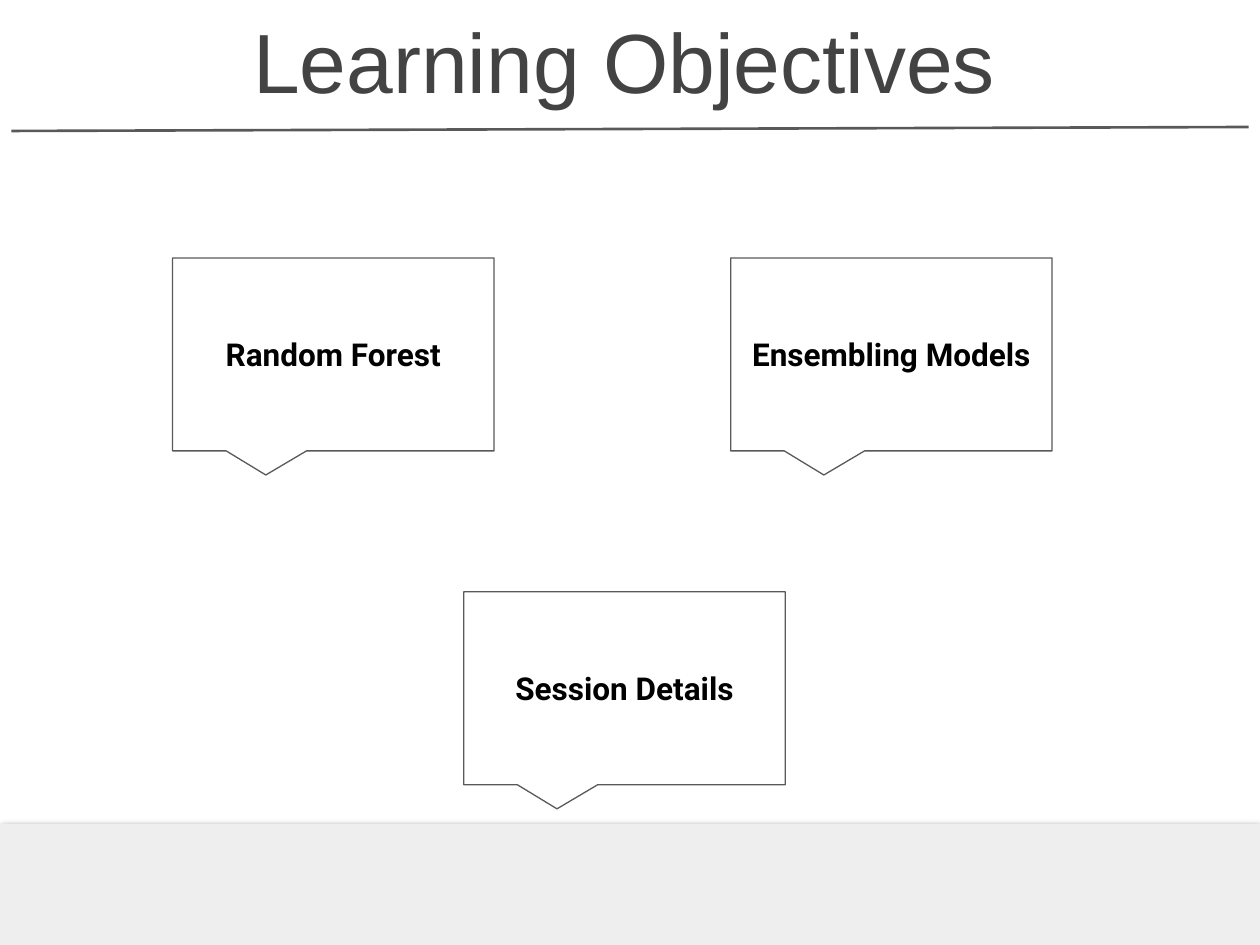
from lxml.etree import SubElement
from pptx import Presentation
from pptx.dml.color import RGBColor
from pptx.enum.shapes import MSO_CONNECTOR as Connector, MSO_SHAPE as Shape
from pptx.enum.text import MSO_ANCHOR as Anchor, PP_ALIGN as Align
from pptx.oxml.ns import qn
from pptx.util import Cm, Pt

COLORS = {"line": "595959", "title": "434343", "text": "000000",
          "band": "EEEEEE", "shadow": "000000"}
CALLOUT_SIZE = (6.48, 3.89)
CALLOUTS = [("Random Forest", 3.48, 5.2),
            ("Ensembling Models", 14.73, 5.2),
            ("Session Details", 9.35, 11.93)]


def color(name):
    """Return the named colour."""
    return RGBColor.from_string(COLORS[name])


def write_text(shape, text, font_name, size, color_name, bold, anchor):
    """Put one centred paragraph into the shape."""
    frame = shape.text_frame
    frame.word_wrap = True
    frame.vertical_anchor = anchor
    frame.margin_left = frame.margin_right = Cm(0.25)
    frame.margin_top = frame.margin_bottom = Cm(0.25)
    paragraph = frame.paragraphs[0]
    paragraph.text = text
    paragraph.alignment = Align.CENTER
    font = paragraph.font
    font.name, font.size, font.bold = font_name, Pt(size), bold
    font.color.rgb = color(color_name)


def add_header(slide, left, top, width, height):
    """Add the title and the slightly tilted rule below it."""
    title = slide.shapes.add_textbox(
        Cm(left + 3.07), Cm(top), Cm(width - 6.37), Cm(height - 0.22))
    write_text(title, "Learning Objectives", "Arial", 48, "title", False, Anchor.BOTTOM)
    rule = slide.shapes.add_connector(
        Connector.STRAIGHT, Cm(left), Cm(top + height - 0.06),
        Cm(left + width), Cm(top + height - 0.14))
    rule.line.color.rgb = color("line")
    rule.line.width = Pt(1.5)
    SubElement(rule._element.spPr, qn("a:effectLst"))


def add_footer_band(slide, left, top, width, height):
    """Add the grey band with a soft shadow along its upper edge."""
    band = slide.shapes.add_shape(
        Shape.RECTANGLE, Cm(left), Cm(top), Cm(width), Cm(height))
    band.fill.solid()
    band.fill.fore_color.rgb = color("band")
    band.line.fill.background()
    effects = SubElement(band._element.spPr, qn("a:effectLst"))
    shadow = SubElement(effects, qn("a:outerShdw"), blurRad=str(Pt(4.5)),
                        dist=str(Pt(1.5)), dir="5400000", algn="bl", rotWithShape="0")
    shade = SubElement(shadow, qn("a:srgbClr"), val=COLORS["shadow"])
    SubElement(shade, qn("a:alpha"), val="50000")


def add_callout(slide, text, left, top, width, height):
    """Add one outlined objective with square corners and a pointer below."""
    callout = slide.shapes.add_shape(
        Shape.ROUNDED_RECTANGULAR_CALLOUT, Cm(left), Cm(top), Cm(width), Cm(height))
    for index, value in enumerate((-0.21, 0.625, 0)):
        callout.adjustments[index] = value
    callout.shadow.inherit = False
    callout.fill.background()
    callout.line.color.rgb = color("line")
    callout.line.width = Pt(0.75)
    write_text(callout, text, "Roboto", 18, "text", True, Anchor.MIDDLE)


def main():
    """Build and save the slide."""
    presentation = Presentation()
    presentation.slide_width, presentation.slide_height = Cm(25.4), Cm(19.05)
    slide = presentation.slides.add_slide(presentation.slide_layouts[6])
    add_footer_band(slide, 0, 16.61, 25.4, 2.57)
    add_header(slide, 0.23, 0.48, 24.94, 2.22)
    for text, left, top in CALLOUTS:
        add_callout(slide, text, left, top, *CALLOUT_SIZE)
    presentation.save("out.pptx")


if __name__ == "__main__":
    main()
